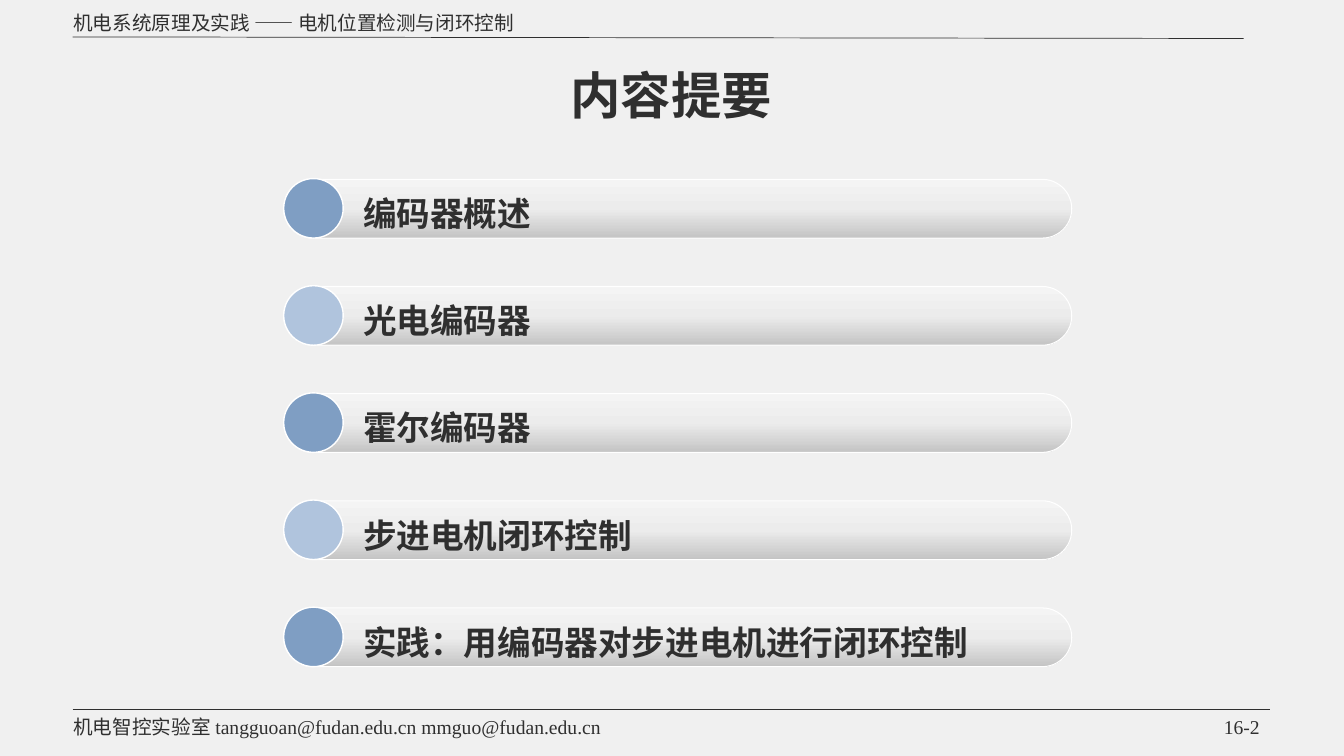
import copy

import pptx
import pptx.dml.color
import pptx.enum.shapes
import pptx.enum.text
import pptx.oxml
import pptx.oxml.ns
import pptx.util

Cm = pptx.util.Cm
Pt = pptx.util.Pt
ALIGN = pptx.enum.text.PP_ALIGN
ANCHOR = pptx.enum.text.MSO_ANCHOR
ROUNDED = pptx.enum.shapes.MSO_SHAPE.ROUNDED_RECTANGLE
INK = "2F2F2F"
CHINESE = "Noto Sans CJK SC"
LATIN = "Times New Roman"
BAR_STOPS = [(0, "F4F4F4"), (0.5, "ECECEC"), (1, "C4C4C4")]
DOT_COLORS = ["7F9EC3", "B0C4DD"]
TOPICS = ["编码器概述", "光电编码器", "霍尔编码器", "步进电机闭环控制",
          "实践：用编码器对步进电机进行闭环控制"]


def color(value):
    """Turn a hex string into a colour."""
    return pptx.dml.color.RGBColor.from_string(value)


def add_text(shapes, box, pieces, size, bold=False, align=ALIGN.LEFT,
             anchor=ANCHOR.MIDDLE, spacing=None):
    """Write one paragraph of (text, font) pieces in a box given in cm."""
    text_box = shapes.add_textbox(*map(Cm, box))
    frame = text_box.text_frame
    frame.word_wrap = True
    frame.vertical_anchor = anchor
    para = frame.paragraphs[0]
    para.alignment = align
    para.line_spacing = spacing
    for text, font_name in pieces:
        span = para.add_run()
        span.text = text
        span.font.name = font_name
        span.font.size = Pt(size)
        span.font.bold = bold
        span.font.color.rgb = color(INK)
        east_asian = pptx.oxml.parse_xml(
            f'<a:ea {pptx.oxml.ns.nsdecls("a")} typeface="{CHINESE}"/>')
        span.font._element.append(east_asian)


def add_rule(page, left, top, right, bottom):
    """Draw a thin line between two points given in cm."""
    rule = page.shapes.add_connector(
        pptx.enum.shapes.MSO_CONNECTOR.STRAIGHT,
        Cm(left), Cm(top), Cm(right), Cm(bottom))
    rule.line.color.rgb = color(INK)
    rule.line.width = Pt(0.5)
    rule._element.spPr.append(pptx.oxml.parse_xml(
        f'<a:effectLst {pptx.oxml.ns.nsdecls("a")}/>'))


def add_pill(shapes, box, line_width):
    """Add a fully rounded shape with a white outline."""
    pill = shapes.add_shape(ROUNDED, *map(Cm, box))
    pill.adjustments[0] = 0.5
    pill.shadow.inherit = False
    pill.line.color.rgb = color("FFFFFF")
    pill.line.width = Pt(line_width)
    return pill


def shade_bar(bar):
    """Fill a bar with the grey gradient from top to bottom."""
    bar.fill.gradient()
    bar.fill.gradient_angle = 270
    first_stop = bar._element.spPr.find(".//" + pptx.oxml.ns.qn("a:gs"))
    first_stop.addnext(copy.deepcopy(first_stop))
    for stop, (position, shade) in zip(bar.fill.gradient_stops, BAR_STOPS):
        stop.position = position
        stop.color.rgb = color(shade)


def add_topic(page, box, topic, dot_color):
    """Build one agenda entry: bar, dot and label."""
    left, top, width, height = box
    shapes = page.shapes.add_group_shape().shapes
    shade_bar(add_pill(shapes, box, 0.75))
    dot = add_pill(shapes, (left, top - 0.02, 1.5, 1.5), 1)
    dot.fill.solid()
    dot.fill.fore_color.rgb = color(dot_color)
    add_text(shapes, (left + 1.75, top + 0.06, width - 1.75, height - 0.1),
             [(topic, LATIN)], 24, bold=True, spacing=1.2)


def add_agenda(page, left, top, width, pitch):
    """Stack the topics at an equal pitch with alternating dots."""
    for index, topic in enumerate(TOPICS):
        add_topic(page, (left, top + index * pitch, width, 1.48), topic,
                  DOT_COLORS[index % 2])


def add_header(page, left, top, width):
    """Place the course name above its rule."""
    add_text(page.shapes, (left, top, width, 0.86),
             [("机电系统原理及实践 —— 电机位置检测与闭环控制", CHINESE)], 14)
    add_rule(page, left + 0.23, top + 0.8, left + 29.74, top + 0.84)


def add_title(page, box):
    """Place the centred slide title."""
    add_text(page.shapes, box, [("内容提要", LATIN)], 36, bold=True,
             align=ALIGN.CENTER, spacing=0.9)


def add_footer(page, left, top, width):
    """Place the footer rule, the contact line and the page number."""
    add_rule(page, left + 0.23, top, left + 30.4, top)
    add_text(page.shapes, (left, top, width, 0.86),
             [("机电智控实验室 ", CHINESE),
              ("tangguoan@fudan.edu.cn mmguo@fudan.edu.cn", LATIN)], 14)
    add_text(page.shapes, (left + 23.01, top, 7.39, 0.61), [("16-2", LATIN)],
             14, align=ALIGN.RIGHT, anchor=ANCHOR.TOP)


def main():
    """Build the agenda slide and save the deck."""
    deck = pptx.Presentation()
    deck.slide_width = Cm(33.87)
    deck.slide_height = Cm(19.05)
    page = deck.slides.add_slide(deck.slide_layouts[6])
    page.background.fill.solid()
    page.background.fill.fore_color.rgb = color("F0F0F0")
    add_header(page, 1.6, 0.13, 23.19)
    add_title(page, (1.83, 1.83, 30.18, 1.27))
    add_agenda(page, 7.15, 4.52, 19.86, 2.7)
    add_footer(page, 1.6, 17.88, 31.06)
    deck.save("out.pptx")


if __name__ == "__main__":
    main()
